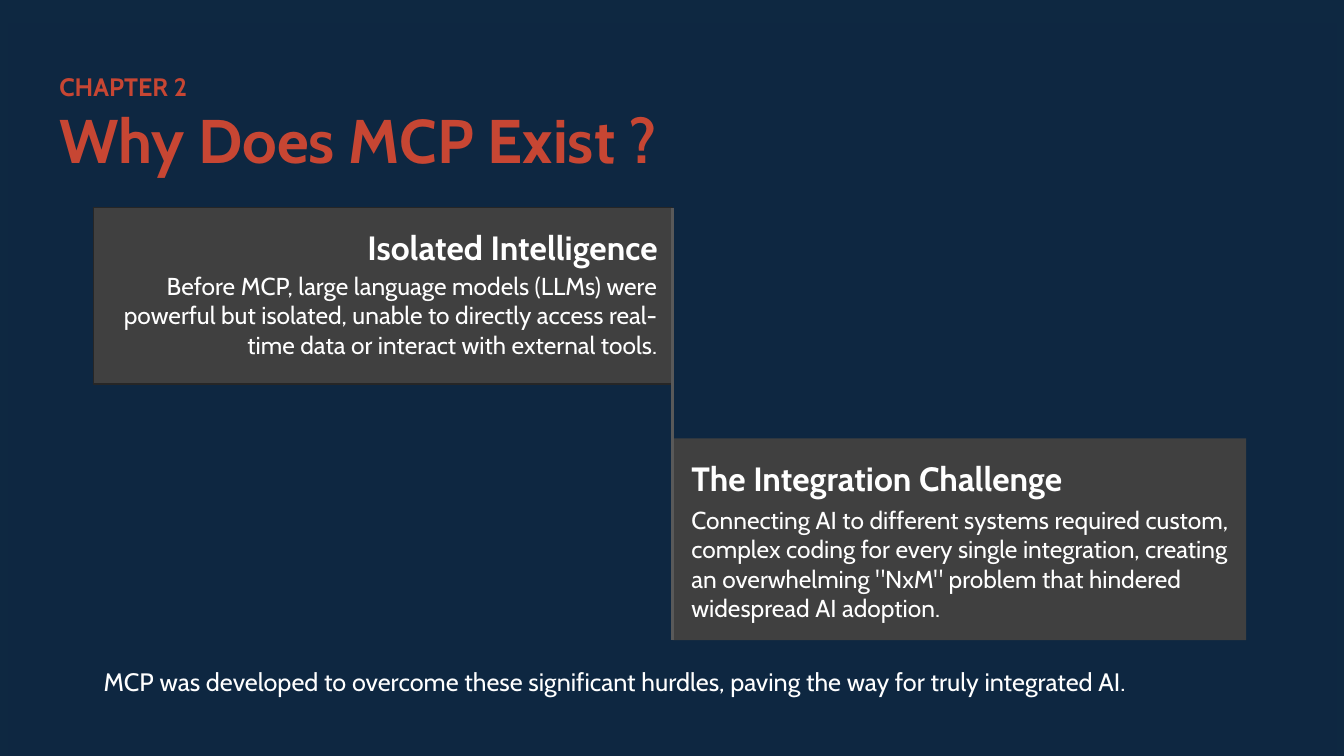
from lxml import etree
from pptx import Presentation
from pptx import util as u
from pptx.dml.color import RGBColor
from pptx.enum import shapes, text
from pptx.oxml.ns import qn

COLORS = {
    "background": "0E2841",
    "backdrop": "0E2741",
    "card": "404040",
    "card_edge": "262626",
    "divider": "595959",
    "accent": "C74633",
    "body": "FFFFFF",
}
RIGHT = text.PP_ALIGN.RIGHT
LEFT = text.PP_ALIGN.LEFT


class SlideBuilder:
    """Holds the style and the current slide."""

    def __init__(self, slide, font="Cabin"):
        self.slide = slide
        self.font = font

    def color(self, name):
        return RGBColor.from_string(COLORS[name])

    def background(self, name):
        fill = self.slide.background.fill
        fill.solid()
        fill.fore_color.rgb = self.color(name)

    def panel(self, left, top, width, height, fill, edge=None):
        shape = self.slide.shapes.add_shape(
            shapes.MSO_SHAPE.RECTANGLE,
            u.Inches(left), u.Inches(top), u.Inches(width), u.Inches(height))
        shape.shadow.inherit = False
        shape.fill.solid()
        shape.fill.fore_color.rgb = self.color(fill)
        if edge:
            shape.line.color.rgb = self.color(edge)
            shape.line.width = u.Pt(0.75)
        else:
            shape.line.fill.background()

    def text(self, left, top, width, height, lines, color="body", align=LEFT):
        """Each line is (wording, size, bold)."""
        box = self.slide.shapes.add_textbox(
            u.Inches(left), u.Inches(top), u.Inches(width), u.Inches(height))
        frame = box.text_frame
        frame.word_wrap = True
        frame.auto_size = text.MSO_AUTO_SIZE.SHAPE_TO_FIT_TEXT
        for index, (wording, size, bold) in enumerate(lines):
            paragraph = frame.add_paragraph() if index else frame.paragraphs[0]
            paragraph.alignment = align
            run = paragraph.add_run()
            run.text = wording
            run.font.name = self.font
            run.font.size = u.Pt(size)
            run.font.bold = bold
            run.font.color.rgb = self.color(color)

    def line(self, x1, y1, x2, y2, color, width):
        connector = self.slide.shapes.add_connector(
            shapes.MSO_CONNECTOR.STRAIGHT,
            u.Inches(x1), u.Inches(y1), u.Inches(x2), u.Inches(y2))
        connector.line.color.rgb = self.color(color)
        connector.line.width = u.Pt(width)
        etree.SubElement(connector._element.spPr, qn("a:effectLst"))


def main():
    presentation = Presentation()
    presentation.slide_width = u.Inches(13.33)
    presentation.slide_height = u.Inches(7.5)
    builder = SlideBuilder(
        presentation.slides.add_slide(presentation.slide_layouts[6]))

    # Background
    builder.background("background")
    builder.panel(0.08, 0.23, 13.18, 7.27, "backdrop")

    # Left card
    builder.panel(0.93, 2.06, 5.74, 1.75, "card", "card_edge")
    builder.text(0.93, 2.64, 5.69, 0.98, [(
        "Before MCP, large language models (LLMs) were powerful but isolated, "
        "unable to directly access real-time data or interact with external "
        "tools.", 17.5, False)], align=RIGHT)
    builder.text(2.31, 2.2, 4.31, 0.5,
                 [("Isolated Intelligence", 24, True)], align=RIGHT)

    # Right card
    builder.panel(6.67, 4.35, 5.69, 2, "card")
    builder.text(6.76, 4.96, 5.6, 1.28, [(
        "Connecting AI to different systems required custom, complex coding "
        "for every single integration, creating an overwhelming \"NxM\" "
        "problem that hindered widespread AI adoption.", 17.5, False)])
    builder.text(6.76, 4.49, 4.31, 0.5,
                 [("The Integration Challenge", 24, True)])

    # Divider between the cards
    builder.line(6.67, 2.06, 6.67, 6.35, "divider", 2.25)

    # Conclusion
    builder.text(0.93, 6.56, 11.6, 0.71, [(
        "MCP was developed to overcome these significant hurdles, paving the "
        "way for truly integrated AI.", 18, False)])

    # Chapter and title
    builder.text(0.49, 0.66, 8.58, 1.14, [
        ("CHAPTER 2", 18, True),
        ("Why Does MCP Exist ?", 44, True)], color="accent")

    presentation.save("out.pptx")


if __name__ == "__main__":
    main()
